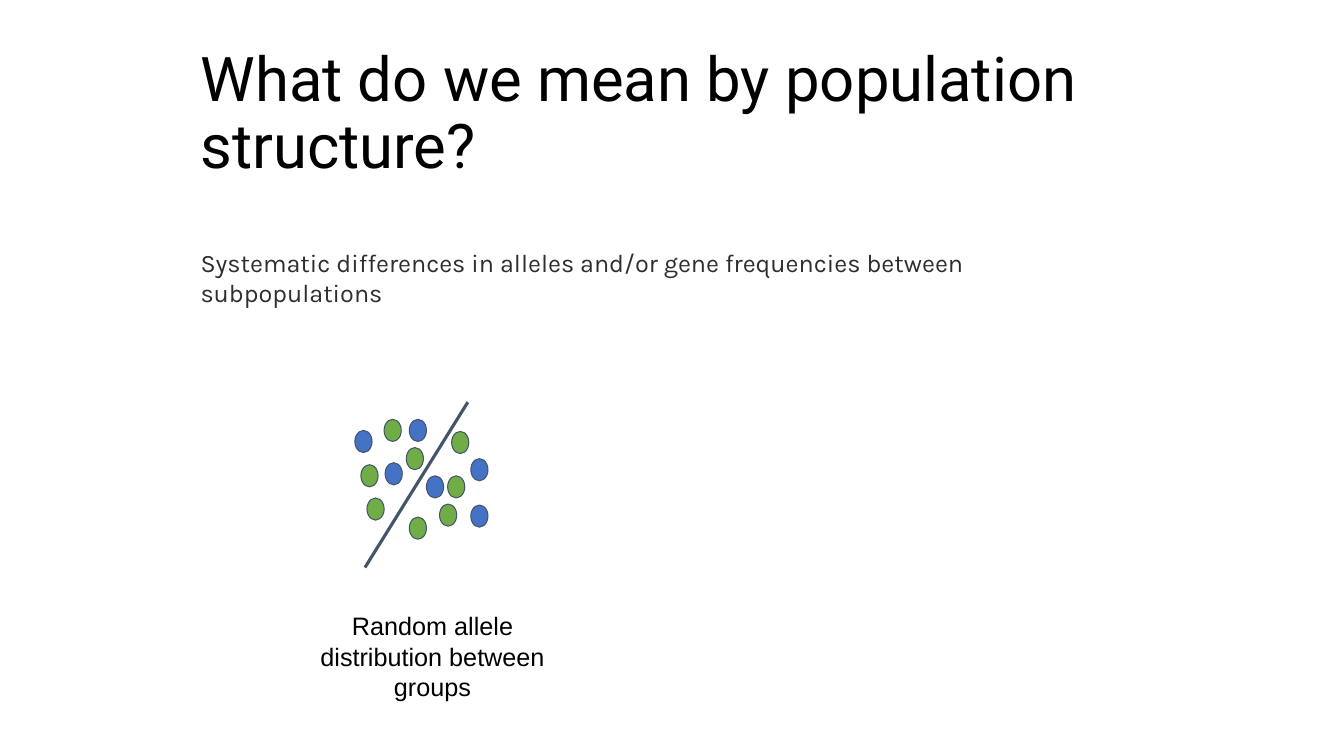
from dataclasses import dataclass

from lxml import etree
from pptx import Presentation
from pptx.dml.color import RGBColor
from pptx.enum.shapes import MSO_CONNECTOR, MSO_SHAPE
from pptx.enum.text import MSO_ANCHOR, PP_ALIGN
from pptx.oxml.ns import qn
from pptx.util import Emu, Pt

PX = 9144  # 100 px to the inch
OVAL, STRAIGHT = MSO_SHAPE.OVAL, MSO_CONNECTOR.STRAIGHT
TOP, BOTTOM = MSO_ANCHOR.TOP, MSO_ANCHOR.BOTTOM
LEFT, CENTER = PP_ALIGN.LEFT, PP_ALIGN.CENTER
COLORS = {
    "blue": "4472C4",
    "green": "70AD47",
    "slate": "44546A",
    "black": "000000",
    "gray": "2E2E2E",
}
ALLELE_W, ALLELE_H = 17, 22


@dataclass
class Label:
    text: str
    box: tuple[int, int, int, int]
    font: str
    size: int
    color: str = "black"
    align: PP_ALIGN = LEFT
    anchor: MSO_ANCHOR = TOP
    inset: tuple[int, int] = (10, 10)
    line_spacing: float = 1.0


@dataclass
class Allele:
    x: int
    y: int
    color: str


LABELS = [
    Label("What do we mean by population structure?", (189, 23, 915, 167),
          "Roboto", 44, anchor=BOTTOM, line_spacing=0.9),
    Label("Systematic differences in alleles and/or gene frequencies between subpopulations",
          (189, 235, 879, 50), "Karla", 18, color="gray"),
    Label("Random allele distribution between groups", (294, 601, 270, 101),
          "Arial", 18, align=CENTER, inset=(10, 5)),
]
ALLELES = [
    Allele(352, 427, "blue"),
    Allele(381, 416, "green"),
    Allele(358, 461, "green"),
    Allele(406, 513, "green"),
    Allele(382, 459, "blue"),
    Allele(444, 472, "green"),
    Allele(423, 472, "blue"),
    Allele(406, 416, "blue"),
    Allele(436, 500, "green"),
    Allele(467, 455, "blue"),
    Allele(467, 501, "blue"),
    Allele(364, 494, "green"),
    Allele(448, 428, "green"),
    Allele(403, 444, "green"),
]
DIVIDER = (362, 563, 464, 399)


def px(*values: int) -> list[Emu]:
    return [Emu(v * PX) for v in values]


def rgb(name: str) -> RGBColor:
    return RGBColor.from_string(COLORS[name])


def add_label(s, label: Label) -> None:
    tf = s.shapes.add_textbox(*px(*label.box)).text_frame
    tf.word_wrap = True
    tf.vertical_anchor = label.anchor
    inset_x, inset_y = px(*label.inset)
    tf.margin_left = tf.margin_right = inset_x
    tf.margin_top = tf.margin_bottom = inset_y
    p = tf.paragraphs[0]
    p.text = label.text
    p.alignment = label.align
    p.line_spacing = label.line_spacing
    p.font.name = label.font
    p.font.size = Pt(label.size)
    p.font.color.rgb = rgb(label.color)


def add_allele(s, allele: Allele) -> None:
    sp = s.shapes.add_shape(OVAL, *px(allele.x, allele.y, ALLELE_W, ALLELE_H))
    sp.shadow.inherit = False
    sp.fill.solid()
    sp.fill.fore_color.rgb = rgb(allele.color)
    sp.line.color.rgb = rgb("slate")
    sp.line.width = Pt(0.75)


def add_divider(s, ends: tuple[int, int, int, int]) -> None:
    line = s.shapes.add_connector(STRAIGHT, *px(*ends))
    line.line.color.rgb = rgb("slate")
    line.line.width = Pt(2.25)
    etree.SubElement(line._element.spPr, qn("a:effectLst"))


def main() -> None:
    prs = Presentation()
    prs.slide_width, prs.slide_height = px(1333, 750)
    s = prs.slides.add_slide(prs.slide_layouts[6])
    title, definition, caption = LABELS
    add_label(s, title)
    add_label(s, definition)
    for allele in ALLELES:
        add_allele(s, allele)
    add_divider(s, DIVIDER)
    add_label(s, caption)
    prs.save("out.pptx")


if __name__ == "__main__":
    main()
